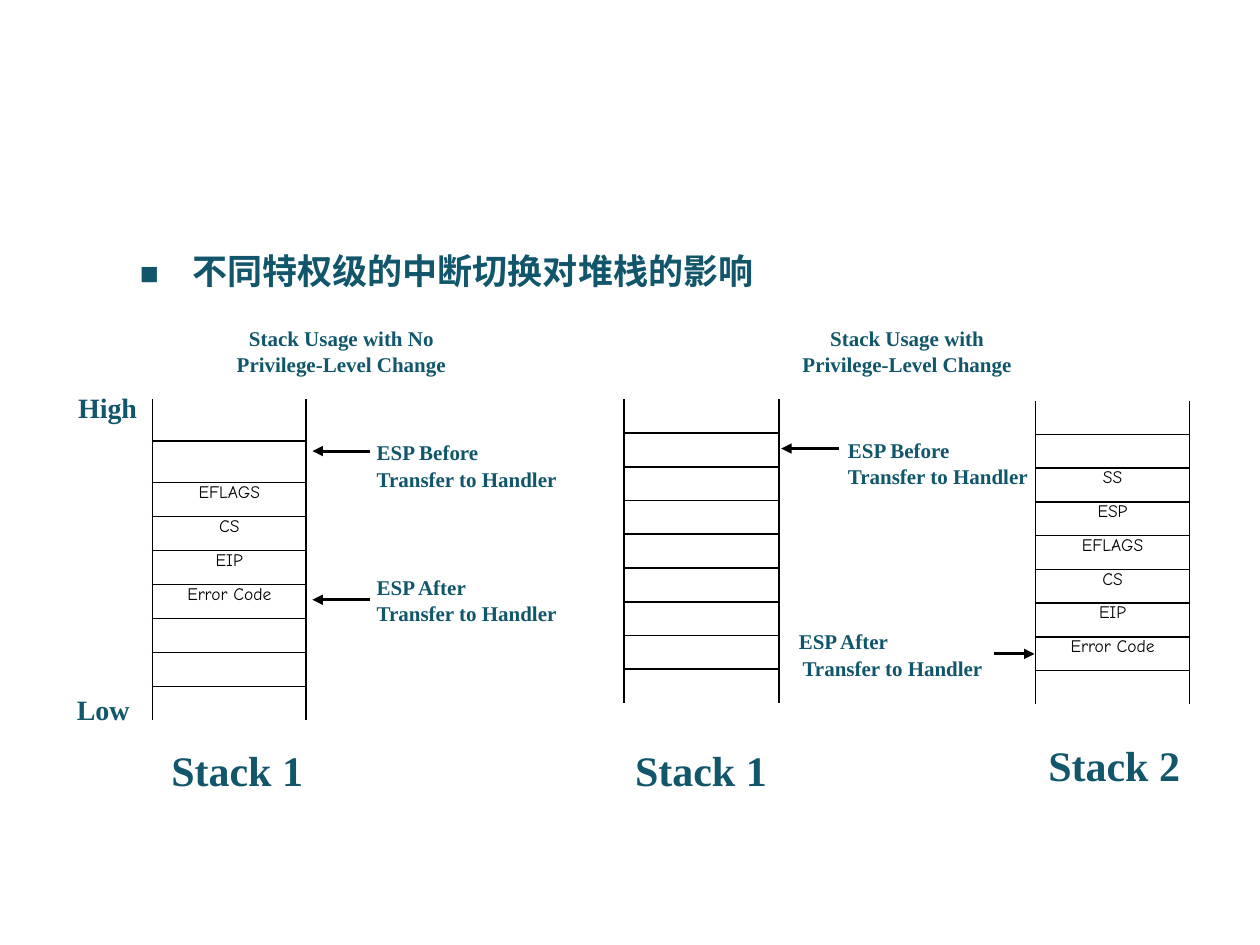
"""Build a slide on how privilege changes during interrupts affect the stack."""
from lxml.etree import SubElement
from pptx import Presentation
from pptx.dml.color import RGBColor
from pptx.enum.shapes import MSO_CONNECTOR
from pptx.enum.text import MSO_ANCHOR, MSO_AUTO_SIZE, PP_ALIGN
from pptx.oxml.ns import qn
from pptx.util import Inches, Pt

TEAL = RGBColor(0x11, 0x56, 0x6A)
BLACK = RGBColor(0, 0, 0)
SERIF, HAND, HAN = "Times New Roman", "Comic Neue", "Noto Sans CJK SC"

TITLE = [("■ ", 18, "Arial", 710), ("不同特权级的中断切换对堆栈的影响", 20, HAN, 0)]
FRAME = ["EFLAGS", "CS", "EIP", "Error Code"]
BEFORE = ["ESP Before", "Transfer to Handler"]
AFTER = ["ESP After", "Transfer to Handler"]
CHANGE = "Privilege-Level Change"
LEFT, MID = PP_ALIGN.LEFT, PP_ALIGN.CENTER

LABELS = [
    (1.86, 2.57, 1.7, ["Stack Usage with No", CHANGE], 12, MID, 0),
    (6.35, 2.57, 1.7, ["Stack Usage with", CHANGE], 12, MID, 0),
    (2.99, 3.48, 1.6, BEFORE, 12, LEFT, 0),
    (2.99, 4.55, 1.6, AFTER, 12, LEFT, 0),
    (6.73, 3.46, 1.5, BEFORE, 12, LEFT, 0),
    (6.34, 4.98, 1.5, AFTER, 12, LEFT, 0.03),
    (0.62, 3.1, 0.55, ["High"], 16, LEFT, 0),
    (0.61, 5.5, 0.55, ["Low"], 16, LEFT, 0),
    (1.36, 5.91, 1.2, ["Stack 1"], 24, LEFT, 0),
    (5.04, 5.91, 1.2, ["Stack 1"], 24, LEFT, 0),
    (8.32, 5.87, 1.2, ["Stack 2"], 24, LEFT, 0),
]
TABLES = [
    (1.21, 3.17, [0.33] * 2 + [0.27] * 7, ["", ""] + FRAME + [""] * 3),
    (8.22, 3.18, [2.41 / 9] * 9, ["", "", "SS", "ESP"] + FRAME + [""]),
]
ARROWS = [(2.94, 2.48, 3.58), (2.94, 2.48, 4.76),
          (6.66, 6.2, 3.56), (7.89, 8.21, 5.19)]
PLAIN = (4.95, 6.18, 3.17, 2.41, 9)


def style(font, size, name, color, bold=False):
    font.size, font.name, font.bold = Pt(size), name, bold
    font.color.rgb = color


def clear(frame):
    frame.margin_left = frame.margin_right = 0
    frame.margin_top = frame.margin_bottom = 0
    frame.word_wrap = True
    frame.auto_size = MSO_AUTO_SIZE.NONE


def add_title(slide):
    box = slide.shapes.title
    box.left, box.top = Inches(1.11), Inches(1.98)
    box.width, box.height = Inches(5.8), Inches(0.34)
    frame = box.text_frame
    clear(frame)
    frame.vertical_anchor = MSO_ANCHOR.MIDDLE
    para = frame.paragraphs[0]
    para.alignment = LEFT
    for text, size, name, gap in TITLE:
        run = para.add_run()
        run.text = text
        style(run.font, size, name, TEAL, True)
        props = run._r.get_or_add_rPr()
        props.set("spc", str(gap))
        SubElement(props, qn("a:ea")).set("typeface", name)


def add_label(slide, left, top, width, lines, size, align, shift):
    height = size * 1.2 * len(lines) / 72
    box = slide.shapes.add_textbox(
        Inches(left), Inches(top), Inches(width), Inches(height))
    frame = box.text_frame
    clear(frame)
    frame.text = "\n".join(lines)
    for para in frame.paragraphs:
        para.alignment = align
        if len(lines) > 1:
            para.line_spacing = 1.05
        style(para.runs[0].font, size, SERIF, TEAL, True)
    if shift:
        frame.paragraphs[-1]._p.get_or_add_pPr().set(
            "marL", str(Inches(shift)))


def edge(cell, side, shown):
    line = SubElement(cell._tc.get_or_add_tcPr(), qn("a:ln" + side))
    line.set("w", str(Pt(1)))
    if shown:
        fill = SubElement(line, qn("a:solidFill"))
        SubElement(fill, qn("a:srgbClr")).set("val", str(BLACK))
    else:
        SubElement(line, qn("a:noFill"))


def add_stack(slide, left, top, rows, words):
    last = len(rows) - 1
    table = slide.shapes.add_table(
        len(rows), 1, Inches(left), Inches(top),
        Inches(1.22), Inches(sum(rows))).table
    table.first_row = table.horz_banding = False
    for i, (high, word) in enumerate(zip(rows, words)):
        table.rows[i].height = Inches(high)
        cell = table.cell(i, 0)
        cell.margin_left = cell.margin_right = 0
        cell.margin_top = cell.margin_bottom = 0
        for side in "LRTB":
            edge(cell, side, (side, i) not in (("T", 0), ("B", last)))
        cell.fill.background()
        para = cell.text_frame.paragraphs[0]
        para.alignment = MID
        if word:
            para.text = word
            style(para.runs[0].font, 10, HAND, BLACK)
        else:
            SubElement(para._p, qn("a:endParaRPr")).set("sz", "1000")


def add_line(slide, x1, y1, x2, y2, width=1, head=False):
    line = slide.shapes.add_connector(
        MSO_CONNECTOR.STRAIGHT, Inches(x1), Inches(y1), Inches(x2), Inches(y2))
    line.line.color.rgb = BLACK
    line.line.width = Pt(width)
    if head:
        SubElement(line.line._get_or_add_ln(), qn("a:tailEnd")).set(
            "type", "triangle")
    SubElement(line._element.spPr, qn("a:effectLst"))


def add_plain(slide, left, right, top, high, count):
    for x in (left, right):
        add_line(slide, x, top, x, top + high)
    for i in range(1, count):
        y = top + i * high / count
        add_line(slide, left, y, right, y)


def main():
    deck = Presentation()
    deck.slide_width, deck.slide_height = Inches(10), Inches(7.5)
    slide = deck.slides.add_slide(deck.slide_layouts[5])
    add_title(slide)
    for item in TABLES:
        add_stack(slide, *item)
    add_plain(slide, *PLAIN)
    for start, end, y in ARROWS:
        add_line(slide, start, y, end, y, 1.75, True)
    for item in LABELS:
        add_label(slide, *item)
    deck.save("out.pptx")


if __name__ == "__main__":
    main()
